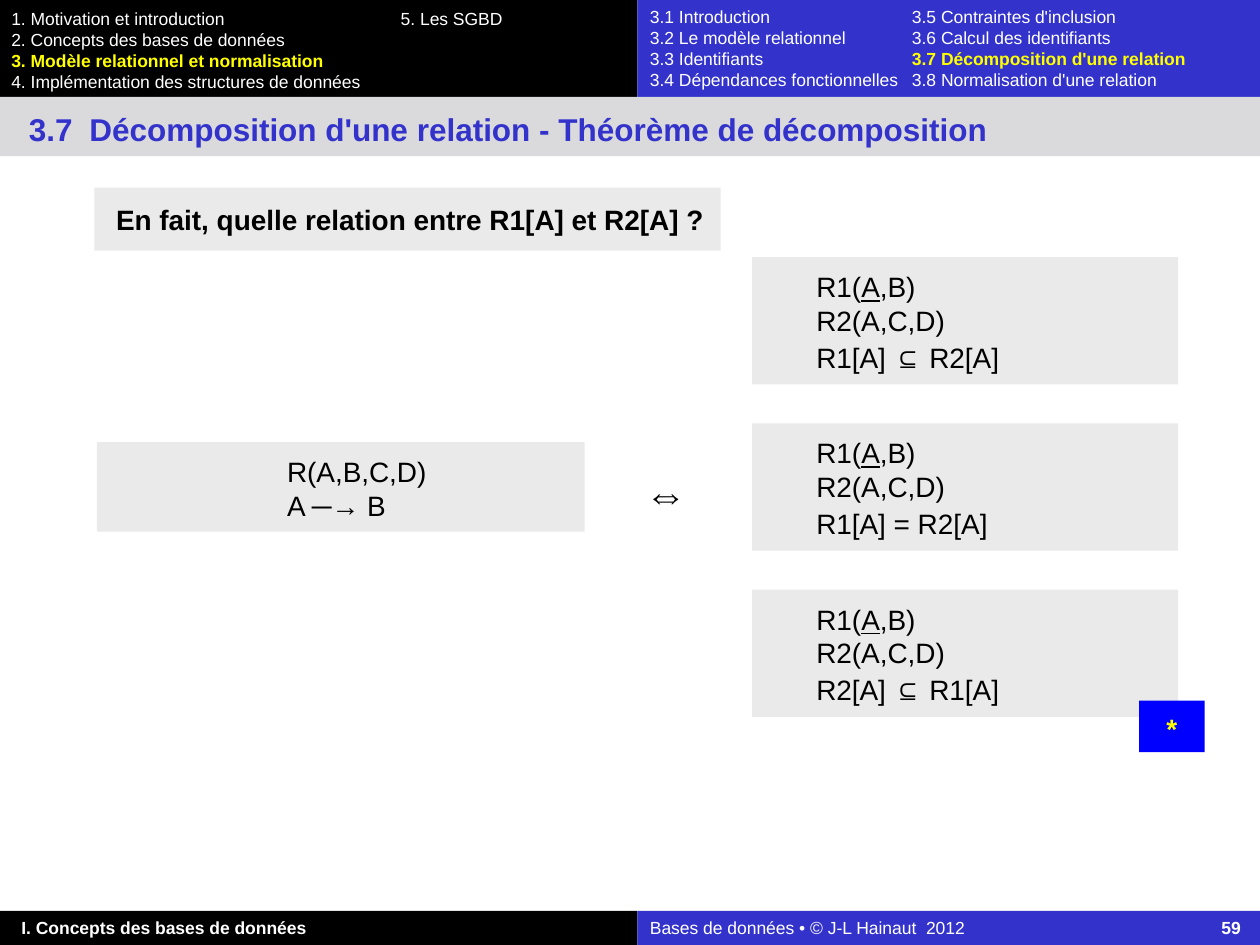
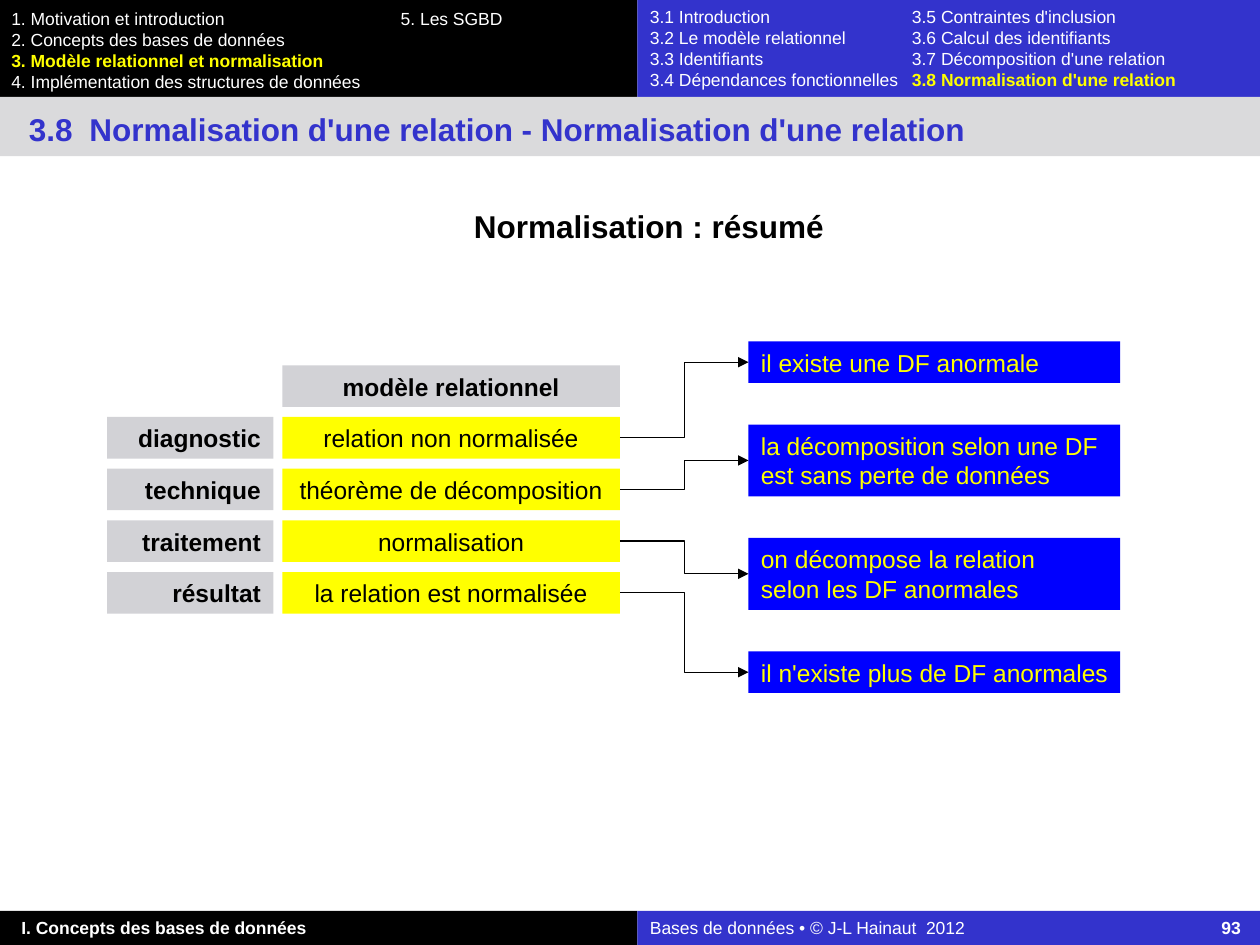
from dataclasses import dataclass

from lxml import etree
from pptx import Presentation
from pptx.dml.color import RGBColor
from pptx.enum.shapes import MSO_CONNECTOR, MSO_SHAPE
from pptx.enum.text import MSO_ANCHOR, PP_ALIGN
from pptx.oxml.ns import qn
from pptx.util import Inches, Pt

LEFT, CENTER, RIGHT = PP_ALIGN.LEFT, PP_ALIGN.CENTER, PP_ALIGN.RIGHT
TOP = MSO_ANCHOR.TOP
RECTANGLE = MSO_SHAPE.RECTANGLE
ELBOW = MSO_CONNECTOR.ELBOW
LEFT_SITE, RIGHT_SITE = 1, 3


@dataclass(frozen=True)
class Theme:
    font: str = "Arial"
    black: str = "000000"
    white: str = "FFFFFF"
    indigo: str = "3333CC"
    yellow: str = "FFFF00"
    blue: str = "0000FF"
    title_band: str = "DADADC"
    label_gray: str = "D2D2D6"
    panel_gray: str = "EAEAEA"
    menu_size: int = 10
    title_size: int = 18
    body_size: int = 16
    diagram_size: int = 14
    symbol_size: int = 24


THEME = Theme()

# Content
CHAPTERS = [
    ("1. Motivation et introduction", "5. Les SGBD"),
    ("2. Concepts des bases de données",),
    ("3. Modèle relationnel et normalisation",),
    ("4. Implémentation des structures de données",),
]
SECTIONS = [
    ("3.1 Introduction", "3.5 Contraintes d'inclusion"),
    ("3.2 Le modèle relationnel", "3.6 Calcul des identifiants"),
    ("3.3 Identifiants", "3.7 Décomposition d'une relation"),
    ("3.4 Dépendances fonctionnelles", "3.8 Normalisation d'une relation"),
]
CURRENT_CHAPTER = "3."
PART = "I. Concepts des bases de données"
COPYRIGHT = "Bases de données • © J-L Hainaut  2012"

DECOMPOSITION = {
    "section": "3.7",
    "title": "Décomposition d'une relation - Théorème de décomposition",
    "page": "59",
    "question": "En fait, quelle relation entre R1[A] et R2[A] ?",
    "relation": ["R(A,B,C,D)", "A ─→ B"],
    "equivalence": "⇔",
    "constraints": ["R1[A] ⊆ R2[A]", "R1[A] = R2[A]", "R2[A] ⊆ R1[A]"],
    "marker": "*",
}
NORMALISATION = {
    "section": "3.8",
    "title": "Normalisation d'une relation - Normalisation d'une relation",
    "page": "93",
    "heading": "Normalisation : résumé",
    "model": "modèle relationnel",
    "steps": [
        ("diagnostic", "relation non normalisée", ["il existe une DF anormale"]),
        ("technique", "théorème de décomposition",
         ["la décomposition selon une DF", "est sans perte de données"]),
        ("traitement", "normalisation",
         ["on décompose la relation", "selon les DF anormales"]),
        ("résultat", "la relation est normalisée", ["il n'existe plus de DF anormales"]),
    ],
}

# Shared geometry, in inches
SLIDE_WIDTH, SLIDE_HEIGHT = 10, 7.5
SPLIT = 5.06
HEADER_HEIGHT, TITLE_HEIGHT, FOOTER_HEIGHT = 0.77, 0.47, 0.27


def rgb(color):
    return RGBColor.from_string(color)


def add_tab(paragraph, position, side):
    tabs = etree.SubElement(paragraph._p.get_or_add_pPr(), qn("a:tabLst"))
    etree.SubElement(tabs, qn("a:tab"), pos=str(Inches(position)), algn=side)


def add_text(slide, paragraphs, box, *, fill=None, size=THEME.body_size,
             color=THEME.black, bold=False, align=LEFT,
             insets=(0.1, 0.05, 0.1, 0.05), wrap=True, indent=0,
             tab=None, tab_side="l", space_after=0):
    """Each paragraph is a string or a list of runs: strings or (string, overrides)."""
    area = [Inches(length) for length in box]
    if fill:
        shape = slide.shapes.add_shape(RECTANGLE, *area)
        shape.shadow.inherit = False
        shape.fill.solid()
        shape.fill.fore_color.rgb = rgb(fill)
        shape.line.fill.background()
    else:
        shape = slide.shapes.add_textbox(*area)
    frame = shape.text_frame
    frame.word_wrap = wrap
    frame.vertical_anchor = TOP
    (frame.margin_left, frame.margin_top,
     frame.margin_right, frame.margin_bottom) = [Inches(inset) for inset in insets]

    for number, runs in enumerate(paragraphs):
        paragraph = frame.add_paragraph() if number else frame.paragraphs[0]
        if tab:
            add_tab(paragraph, tab, tab_side)
        if indent:
            paragraph._p.get_or_add_pPr().set("marL", str(Inches(indent)))
        paragraph.alignment = align
        if space_after and number:
            paragraph.space_after = Pt(space_after)
        for piece in [runs] if isinstance(runs, str) else runs:
            text, overrides = (piece, {}) if isinstance(piece, str) else piece
            run = paragraph.add_run()
            run.text = text
            font = run.font
            font.name, font.size = THEME.font, Pt(size)
            font.bold = overrides.get("bold", bold)
            font.underline = overrides.get("underline")
            font.color.rgb = rgb(overrides.get("color", color))
    return shape


def add_menu(slide, rows, current, box, fill, tab, insets):
    """Two-column table of contents with the current entry highlighted."""
    highlight = {"color": THEME.yellow, "bold": True}
    paragraphs = []
    for row in rows:
        runs = []
        for column, entry in enumerate(row):
            if column:
                runs.append("\t")
            runs.append((entry, highlight if entry.startswith(current) else {}))
        paragraphs.append(runs)
    add_text(slide, paragraphs, box, fill=fill, size=THEME.menu_size,
             color=THEME.white, tab=tab, insets=insets)


def add_frame(slide, content):
    """Menus, title band and footer."""
    right_width = SLIDE_WIDTH - SPLIT
    footer_top = SLIDE_HEIGHT - FOOTER_HEIGHT
    add_menu(slide, CHAPTERS, CURRENT_CHAPTER, (0, 0, SPLIT, HEADER_HEIGHT),
             THEME.black, 3.09, (0.09, 0.06, 0, 0))
    add_menu(slide, SECTIONS, content["section"],
             (SPLIT, 0, right_width, HEADER_HEIGHT),
             THEME.indigo, 2.08, (0.1, 0.05, 0, 0))
    add_text(slide, [f"{content['section']}\t{content['title']}"],
             (0, HEADER_HEIGHT, SLIDE_WIDTH, TITLE_HEIGHT), fill=THEME.title_band,
             size=THEME.title_size, color=THEME.indigo, bold=True, tab=0.48,
             insets=(0.23, 0.1, 0.1, 0))
    add_text(slide, [PART], (0, footer_top, SPLIT, FOOTER_HEIGHT), fill=THEME.black,
             size=THEME.menu_size, color=THEME.white, bold=True,
             insets=(0.17, 0.05, 0.1, 0.05))
    add_text(slide, [[COPYRIGHT + "\t", (content["page"], {"bold": True})]],
             (SPLIT, footer_top, right_width, FOOTER_HEIGHT), fill=THEME.indigo,
             size=THEME.menu_size, color=THEME.white, tab=4.69, tab_side="r")


def add_arrow(slide, source, target):
    arrow = slide.shapes.add_connector(ELBOW, 0, 0, 0, 0)
    arrow.begin_connect(source, RIGHT_SITE)
    arrow.end_connect(target, LEFT_SITE)
    arrow.line.color.rgb = rgb(THEME.black)
    arrow.line.width = Pt(0.75)
    properties = arrow._element.spPr
    etree.SubElement(properties.find(qn("a:ln")), qn("a:tailEnd"), type="triangle")
    etree.SubElement(properties, qn("a:effectLst"))


def build_decomposition(slide, content):
    panel = {"fill": THEME.panel_gray, "insets": (0.1, 0.1, 0.1, 0.08)}
    schema = [["R1(", ("A", {"underline": True}), ",B)"], "R2(A,C,D)"]
    first_top, pitch = 2.04, 1.32
    for row, constraint in enumerate(content["constraints"]):
        add_text(slide, schema + [constraint],
                 (5.97, first_top + row * pitch, 3.38, 1.01),
                 indent=0.41, space_after=2, **panel)
    add_text(slide, content["relation"], (0.77, 3.51, 3.87, 0.71),
             indent=1.41, space_after=3, **panel)
    add_text(slide, [content["equivalence"]], (5.02, 3.67, 0.51, 0.5),
             size=THEME.symbol_size, bold=True, wrap=False)
    add_text(slide, [content["marker"]], (9.04, 5.56, 0.52, 0.41), fill=THEME.blue,
             color=THEME.yellow, bold=True, align=CENTER, insets=(0, 0.09, 0, 0.05))
    add_text(slide, [content["question"]], (0.75, 1.49, 4.97, 0.5),
             fill=THEME.panel_gray, bold=True, align=CENTER,
             insets=(0.06, 0.12, 0.02, 0.12))


def build_normalisation(slide, content):
    cell = {"size": THEME.diagram_size, "wrap": False}
    label = {"fill": THEME.label_gray, "bold": True, **cell}
    label_left, label_width = 0.85, 1.32
    step_left, step_width = 2.24, 2.68
    reason_left, reason_width = 5.94, 2.95
    line_height, extra_line, reason_gap = 0.33, 0.24, 0.33
    model_top, pitch, reason_top = 2.9, 0.41, 2.71

    add_text(slide, [content["heading"]], (0.87, 1.54, 8.58, 0.5),
             size=THEME.title_size, bold=True, align=CENTER,
             insets=(0.06, 0.1, 0.08, 0.1))
    add_text(slide, [content["model"]],
             (step_left, model_top, step_width, line_height), align=CENTER, **label)
    for row, (phase, step, reason) in enumerate(content["steps"], start=1):
        top = model_top + row * pitch
        add_text(slide, [phase], (label_left, top, label_width, line_height),
                 align=RIGHT, **label)
        step_box = add_text(slide, [step], (step_left, top, step_width, line_height),
                            fill=THEME.yellow, align=CENTER, **cell)
        reason_height = line_height + extra_line * (len(reason) - 1)
        reason_box = add_text(slide, reason,
                              (reason_left, reason_top, reason_width, reason_height),
                              fill=THEME.blue, color=THEME.yellow, **cell)
        add_arrow(slide, step_box, reason_box)
        reason_top += reason_height + reason_gap


def main():
    deck = Presentation()
    deck.slide_width, deck.slide_height = Inches(SLIDE_WIDTH), Inches(SLIDE_HEIGHT)
    blank = deck.slide_layouts[6]
    for content, build in ((DECOMPOSITION, build_decomposition),
                           (NORMALISATION, build_normalisation)):
        slide = deck.slides.add_slide(blank)
        add_frame(slide, content)
        build(slide, content)
    deck.save("out.pptx")


if __name__ == "__main__":
    main()
